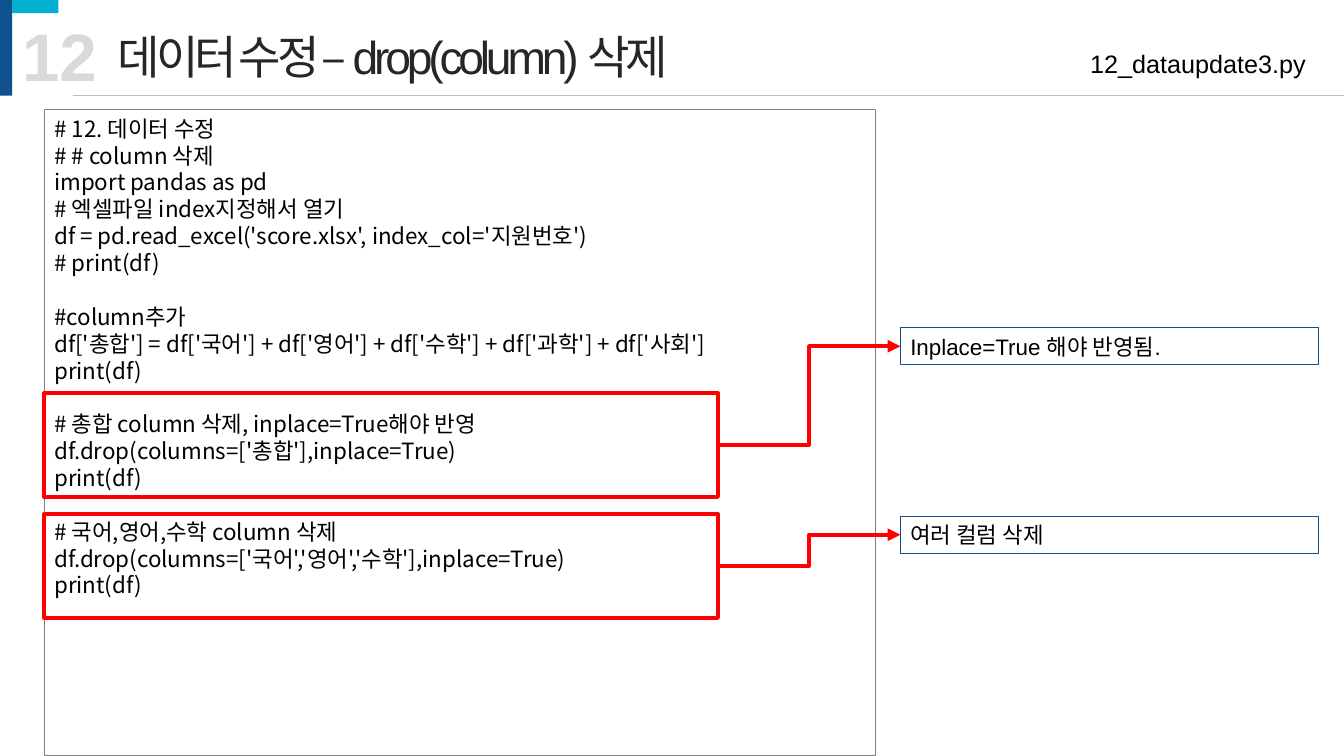
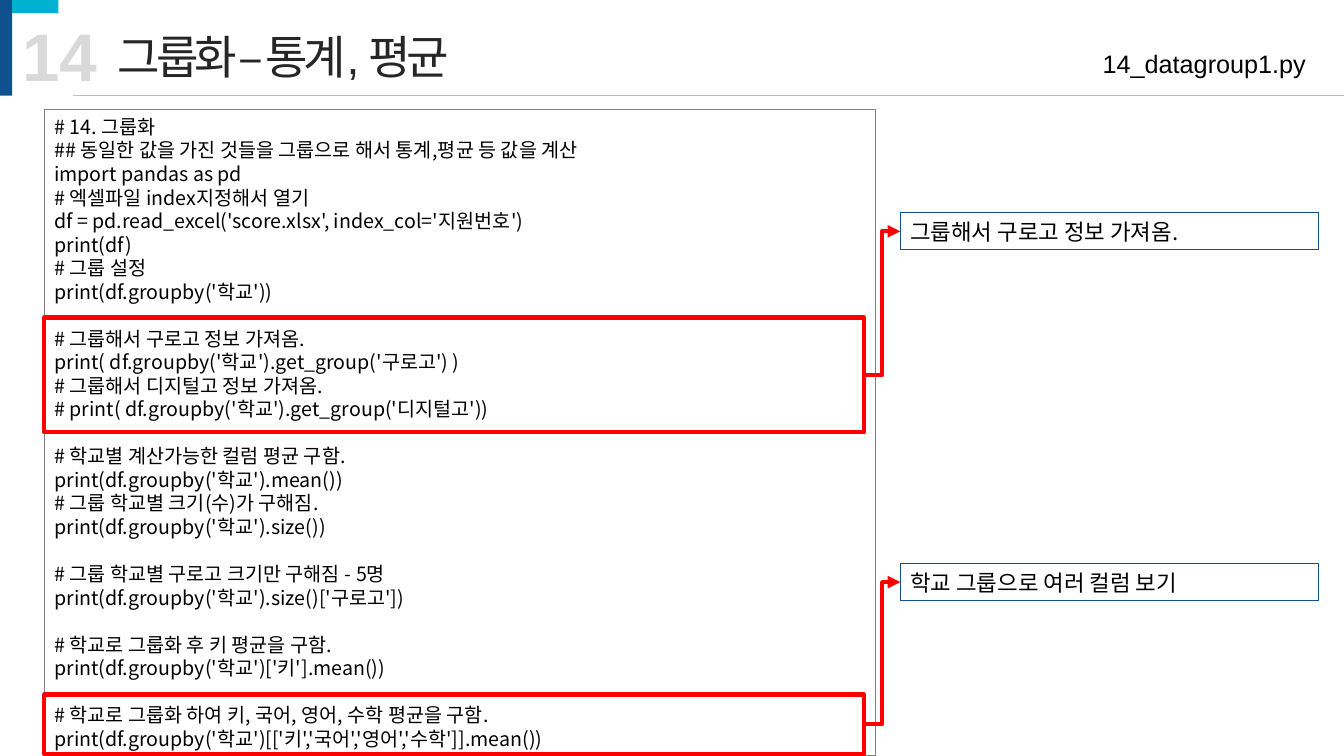
from lxml.etree import SubElement
from pptx import Presentation
from pptx.dml.color import RGBColor
from pptx.enum.shapes import MSO_CONNECTOR, MSO_SHAPE
from pptx.enum.text import MSO_ANCHOR, PP_ALIGN
from pptx.oxml.ns import qn
from pptx.util import Inches, Pt

COLORS = {"navy": "0F518E", "cyan": "01B1D0", "number": "D9D9D9", "rule": "BFBFBF",
          "frame": "808080", "title": "262626", "text": "000000", "accent": "FF0000"}
LATIN, KOREAN = "Arial", "Noto Sans CJK KR"
LEFT, NOTE_LEFT = 0.44, 8.93

UPDATE_CODE = """\
# 12. 데이터 수정
# # column 삭제
import pandas as pd
# 엑셀파일 index지정해서 열기
df = pd.read_excel('score.xlsx', index_col='지원번호')
# print(df)

#column추가
df['총합'] = df['국어'] + df['영어'] + df['수학'] + df['과학'] + df['사회']
print(df)

# 총합 column 삭제, inplace=True해야 반영
df.drop(columns=['총합'],inplace=True)
print(df)

# 국어,영어,수학 column 삭제
df.drop(columns=['국어','영어','수학'],inplace=True)
print(df)"""

GROUP_CODE = """\
# 14. 그룹화
## 동일한 값을 가진 것들을 그룹으로 해서 통계,평균 등 값을 계산
import pandas as pd
# 엑셀파일 index지정해서 열기
df = pd.read_excel('score.xlsx', index_col='지원번호')
print(df)
# 그룹 설정
print(df.groupby('학교'))

# 그룹해서 구로고 정보 가져옴.
print( df.groupby('학교').get_group('구로고') )
# 그룹해서 디지털고 정보 가져옴.
# print( df.groupby('학교').get_group('디지털고'))

# 학교별 계산가능한 컬럼 평균 구함.
print(df.groupby('학교').mean())
# 그룹 학교별 크기(수)가 구해짐.
print(df.groupby('학교').size())

# 그룹 학교별 구로고 크기만 구해짐 - 5명
print(df.groupby('학교').size()['구로고'])

# 학교로 그룹화 후 키 평균을 구함.
print(df.groupby('학교')['키'].mean())

# 학교로 그룹화 하여 키, 국어, 영어, 수학 평균을 구함.
print(df.groupby('학교')[['키','국어','영어','수학']].mean())"""

# Each callout: highlight top, highlight height, note top, note text
LESSONS = [
    {"number": "12", "title": "데이터 수정 – drop(column) 삭제", "file": "12_dataupdate3.py",
     "code": UPDATE_CODE, "size": 16, "highlight_width": 6.68, "note_font": LATIN,
     "callouts": [(3.9, 1.03, 3.25, "Inplace=True 해야 반영됨."),
                  (5.1, 1.03, 5.12, "여러 컬럼 삭제")]},
    {"number": "14", "title": "그룹화 – 통계, 평균", "file": "14_datagroup1.py",
     "code": GROUP_CODE, "size": 14, "highlight_width": 8.13, "note_font": KOREAN,
     "callouts": [(3.15, 1.14, 2.11, "그룹해서 구로고 정보 가져옴."),
                  (6.89, 0.59, 5.59, "학교 그룹으로 여러 컬럼 보기")]},
]


def add_box(slide, left, top, width, height, fill=None, line=None, line_width=0.75):
    """Add a rectangle without shadow; fill and line are keys of COLORS."""
    shape = slide.shapes.add_shape(MSO_SHAPE.RECTANGLE, Inches(left), Inches(top),
                                   Inches(width), Inches(height))
    shape.shadow.inherit = False
    for part, color in ((shape.fill, fill), (shape.line.fill, line)):
        if color:
            part.solid()
            part.fore_color.rgb = RGBColor.from_string(COLORS[color])
        else:
            part.background()
    if line:
        shape.line.width = Pt(line_width)
    return shape


def write(paragraph, text, size, color, latin=LATIN, bold=False, align=PP_ALIGN.LEFT):
    paragraph.alignment = align
    run = paragraph.add_run()
    run.text = text
    run.font.size = Pt(size)
    run.font.bold = bold
    run.font.color.rgb = RGBColor.from_string(COLORS[color])
    run.font.name = latin
    SubElement(run.font._element, qn("a:ea"), typeface=KOREAN)
    return run


presentation = Presentation()
presentation.slide_width = Inches(13.33)
presentation.slide_height = Inches(7.5)

for lesson in LESSONS:
    slide = presentation.slides.add_slide(presentation.slide_layouts[5])

    # Header
    title = slide.shapes.title
    title.left, title.top = Inches(1.07), Inches(0.22)
    title.width, title.height = Inches(10.09), Inches(0.67)
    title.text_frame.vertical_anchor = MSO_ANCHOR.MIDDLE
    run = write(title.text_frame.paragraphs[0], lesson["title"], 33, "title")
    run.font._element.set("spc", "-300")

    add_box(slide, 0, 0, 0.12, 0.95, fill="navy")
    add_box(slide, 0.12, 0, 0.46, 0.13, fill="cyan")
    number = slide.shapes.add_textbox(Inches(0.12), Inches(0.09), Inches(0.95), Inches(0.91))
    number.text_frame.word_wrap = False
    write(number.text_frame.paragraphs[0], lesson["number"], 48, "number", bold=True)
    rule = slide.shapes.add_connector(MSO_CONNECTOR.STRAIGHT, Inches(0.72), Inches(0.95),
                                      presentation.slide_width, Inches(0.95))
    rule.line.color.rgb = RGBColor.from_string(COLORS["rule"])
    rule.line.width = Pt(0.5)
    SubElement(rule._element.spPr, qn("a:effectLst"))
    file_name = slide.shapes.add_textbox(Inches(NOTE_LEFT), Inches(0.43),
                                         Inches(4.12), Inches(0.4))
    file_name.text_frame.word_wrap = True
    write(file_name.text_frame.paragraphs[0], lesson["file"], 18, "text",
          align=PP_ALIGN.RIGHT)

    # Code listing: an empty source line becomes space before the next paragraph
    listing = add_box(slide, LEFT, 1.09, 8.24, 6.41, line="frame")
    frame = listing.text_frame
    frame.word_wrap = True
    frame.vertical_anchor = MSO_ANCHOR.TOP
    pitch = Pt(lesson["size"] * 1.2)
    paragraph = frame.paragraphs[0]
    for block_index, block in enumerate(lesson["code"].split("\n\n")):
        for line_index, code_line in enumerate(block.split("\n")):
            if block_index or line_index:
                paragraph = frame.add_paragraph()
            paragraph.line_spacing = pitch
            if block_index and not line_index:
                paragraph.space_before = pitch
            write(paragraph, code_line, lesson["size"], "text", KOREAN)

    # Highlights joined to their notes
    for top, height, note_top, note_text in lesson["callouts"]:
        highlight = add_box(slide, LEFT, top, lesson["highlight_width"], height,
                            line="accent", line_width=3)
        note = add_box(slide, NOTE_LEFT, note_top, 4.15, 0.37, line="navy")
        note.text_frame.word_wrap = True
        note.text_frame.vertical_anchor = MSO_ANCHOR.MIDDLE
        write(note.text_frame.paragraphs[0], note_text, 16, "text", lesson["note_font"])
        arrow = slide.shapes.add_connector(MSO_CONNECTOR.ELBOW, 0, 0, 0, 0)
        arrow.begin_connect(highlight, 3)
        arrow.end_connect(note, 1)
        arrow.line.color.rgb = RGBColor.from_string(COLORS["accent"])
        arrow.line.width = Pt(3)
        SubElement(arrow.line._get_or_add_ln(), qn("a:tailEnd"), type="triangle")
        SubElement(arrow._element.spPr, qn("a:effectLst"))

presentation.save("out.pptx")
